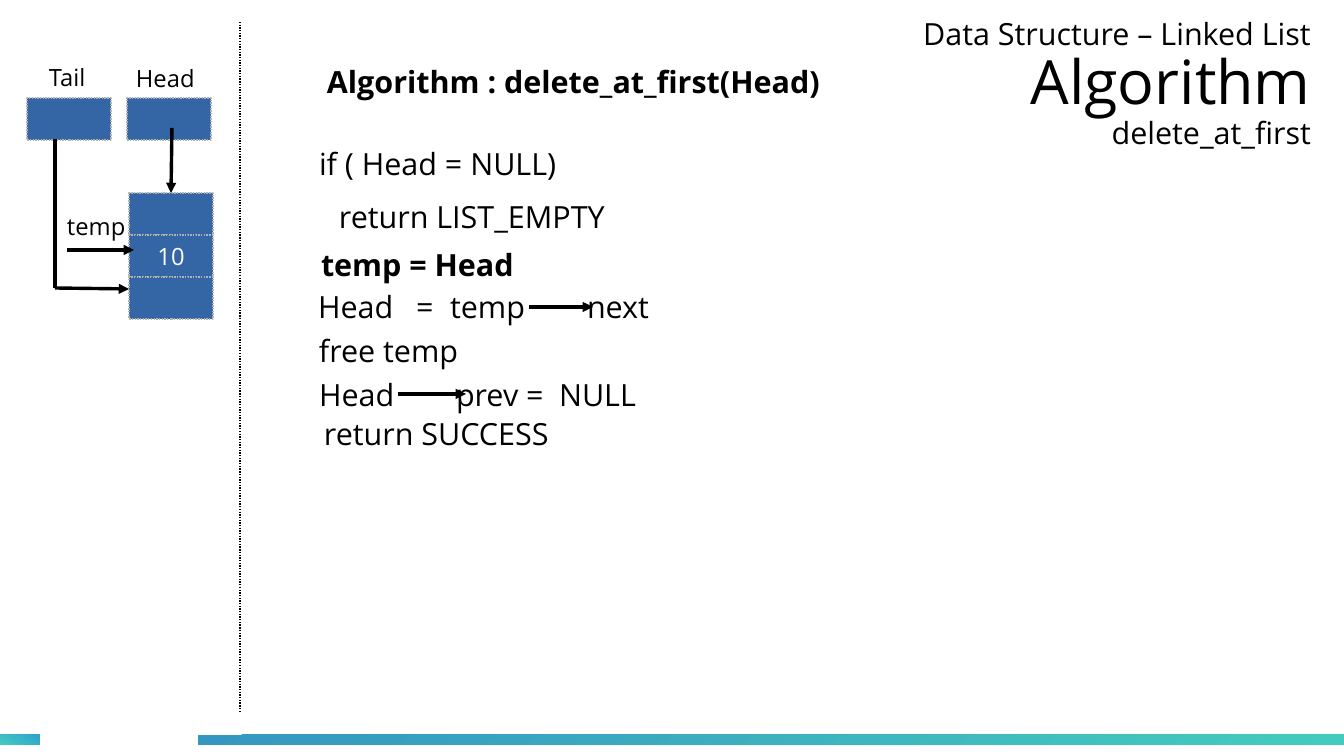
from pptx import Presentation
from pptx.dml.color import RGBColor
from pptx.enum.dml import MSO_LINE
from pptx.enum.shapes import MSO_CONNECTOR, MSO_SHAPE
from pptx.enum.text import MSO_ANCHOR, PP_ALIGN
from pptx.oxml.ns import qn
from pptx.util import Pt
from lxml import etree

RECT = MSO_SHAPE.RECTANGLE
STRAIGHT = MSO_CONNECTOR.STRAIGHT
DOT = MSO_LINE.ROUND_DOT
MIDDLE = MSO_ANCHOR.MIDDLE
RIGHT, CENTER = PP_ALIGN.RIGHT, PP_ALIGN.CENTER

SCALE = 7495  # EMU per px
FONT = "Open Sans"
COLORS = {
    "ink": "000000", "white": "FFFFFF", "cell": "3465A4", "edge": "B2B2B2",
    "teal": "43CCBD", "sky": "30A2D2", "blue": "3497C1",
}
CELL_W, CELL_H = 84, 42


def px(*values):
    return [value * SCALE for value in values]


def color(name):
    return RGBColor.from_string(COLORS[name])


def style(para, size, ink="ink", bold=False):
    for run in para.runs:
        run.font.name = FONT
        run.font.size = Pt(size)
        run.font.bold = bold
        run.font.color.rgb = color(ink)


def add_text(slide, text, left, top, width, size=18, bold=False, wrap=True, tabs=()):
    """Add a one-line text box; tabs are px from the start of the text."""
    box = slide.shapes.add_textbox(*px(left, top, width, 44))
    frame = box.text_frame
    frame.word_wrap = wrap
    frame.text = text
    para = frame.paragraphs[0]
    if tabs:
        stops = etree.SubElement(para._p.get_or_add_pPr(), qn("a:tabLst"))
        for stop in tabs:
            etree.SubElement(stops, qn("a:tab"), pos=str(stop * SCALE), algn="l")
    style(para, size, bold=bold)


def add_title(slide, lines):
    box = slide.shapes.add_textbox(*px(889, -2, 422, 174))
    frame = box.text_frame
    frame.word_wrap = True
    frame.vertical_anchor = MIDDLE
    frame.margin_left = frame.margin_right = 0
    frame.margin_top = frame.margin_bottom = 0
    frame.text = "\n".join(text for text, size in lines)
    for para, (text, size) in zip(frame.paragraphs, lines):
        para.alignment = RIGHT
        para.line_spacing = 0.9
        style(para, size)


def add_cell(slide, left, top, text=""):
    cell = slide.shapes.add_shape(RECT, *px(left, top, CELL_W, CELL_H))
    cell.shadow.inherit = False
    cell.fill.solid()
    cell.fill.fore_color.rgb = color("cell")
    cell.line.color.rgb = color("edge")
    cell.line.width = Pt(0.79)
    cell.line.dash_style = DOT
    if text:
        frame = cell.text_frame
        frame.text = text
        frame.vertical_anchor = MIDDLE
        frame.paragraphs[0].alignment = CENTER
        style(frame.paragraphs[0], 14, "white")
    return cell


def add_bar(slide, left, width, start, end, angle):
    bar = slide.shapes.add_shape(RECT, *px(left, 735, width, 10))
    bar.shadow.inherit = False
    bar.line.fill.background()
    bar.fill.gradient()
    bar.fill.gradient_angle = angle
    for stop, name in zip(bar.fill.gradient_stops, (start, end)):
        stop.color.rgb = color(name)


def add_line(slide, x1, y1, x2, y2, width=0, head=False):
    line = slide.shapes.add_connector(STRAIGHT, *px(x1, y1, x2, y2))
    line.line.color.rgb = color("ink")
    line.line.width = Pt(width)
    if head:
        etree.SubElement(line.line._get_or_add_ln(), qn("a:tailEnd"), type="triangle")
    etree.SubElement(line._element.spPr, qn("a:effectLst"))
    return line


def draw_list(slide):
    for text, left, top, width in (
        ("Tail", 37, 57, 78), ("Head", 124, 58, 90), ("temp", 55, 206, 90),
    ):
        add_text(slide, text, left, top, width, size=14, wrap=False)
    for left in (27, 127):
        add_cell(slide, left, 98)
    node = [add_cell(slide, 129, 193 + row * CELL_H, text)
            for row, text in enumerate(("", "10", ""))]
    link = add_line(slide, 172, 128, 172, 193, head=True)
    link.end_connect(node[0], 0)
    add_line(slide, 55, 139, 55, 288)
    add_line(slide, 55, 288, 129, 289, head=True)
    add_line(slide, 67, 250, 134, 250, head=True)


def draw_code(slide):
    add_text(slide, "Algorithm : delete_at_first(Head)", 315, 57, 627, bold=True)
    add_text(slide, "if ( Head = NULL)", 307, 139, 375)
    add_text(slide, "return LIST_EMPTY", 327, 192, 327)
    add_text(slide, "temp = Head", 309, 240, 402, bold=True)
    add_text(slide, "Head\t=\ttemp\tnext", 306, 282, 462, tabs=(98, 132, 269))
    add_text(slide, "free temp", 307, 326, 278)
    add_text(slide, "Head\tprev =\tNULL", 307, 370, 499, tabs=(137, 240))
    add_text(slide, "return SUCCESS", 312, 409, 327)
    add_line(slide, 529, 307, 593, 307, head=True)
    add_line(slide, 398, 394, 466, 394, head=True)


def main():
    deck = Presentation()
    deck.slide_width, deck.slide_height = px(1344, 756)
    slide = deck.slides.add_slide(deck.slide_layouts[6])
    add_bar(slide, 0, 40, "teal", "sky", 60)
    add_bar(slide, 198, 1146, "blue", "teal", 300)
    add_title(slide, (("Data Structure – Linked List", 18),
                      ("Algorithm", 36), ("delete_at_first", 18)))
    divider = add_line(slide, 240, 22, 240, 711, width=0.79)
    divider.line.dash_style = DOT
    draw_list(slide)
    draw_code(slide)
    deck.save("out.pptx")


if __name__ == "__main__":
    main()
